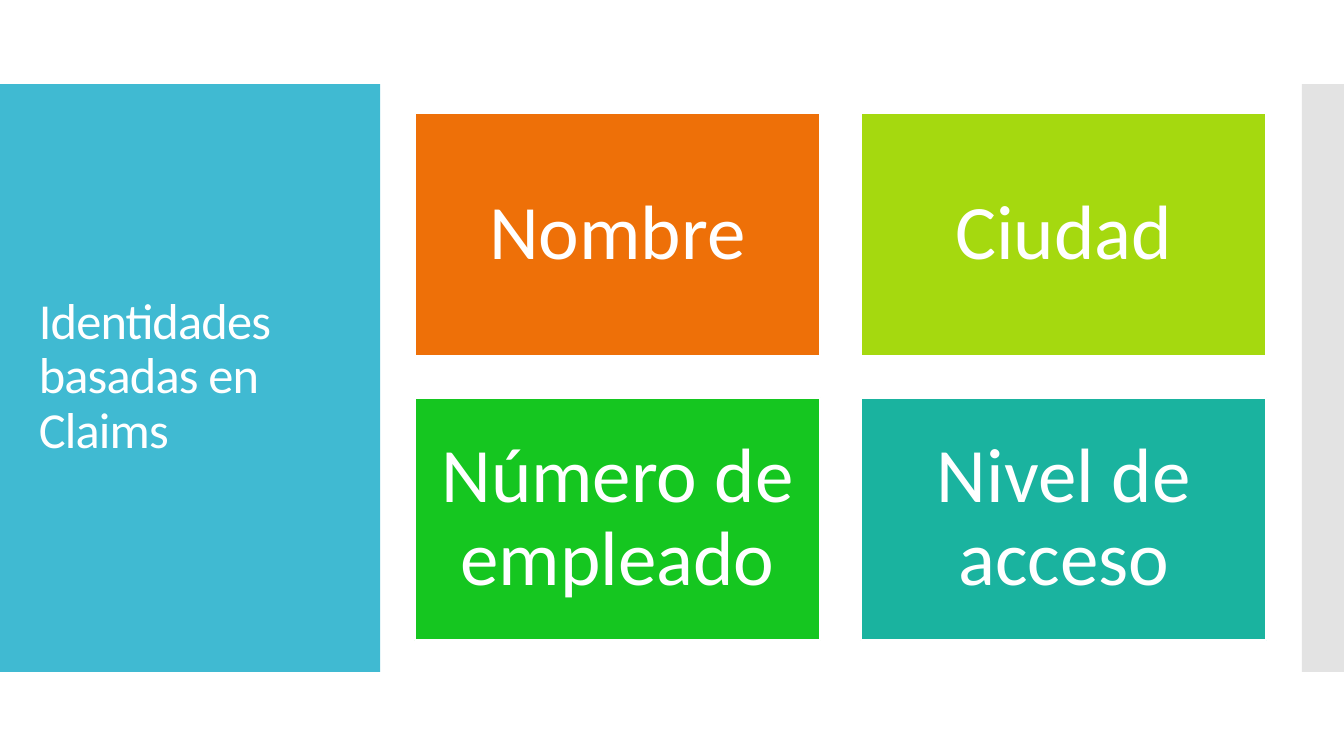
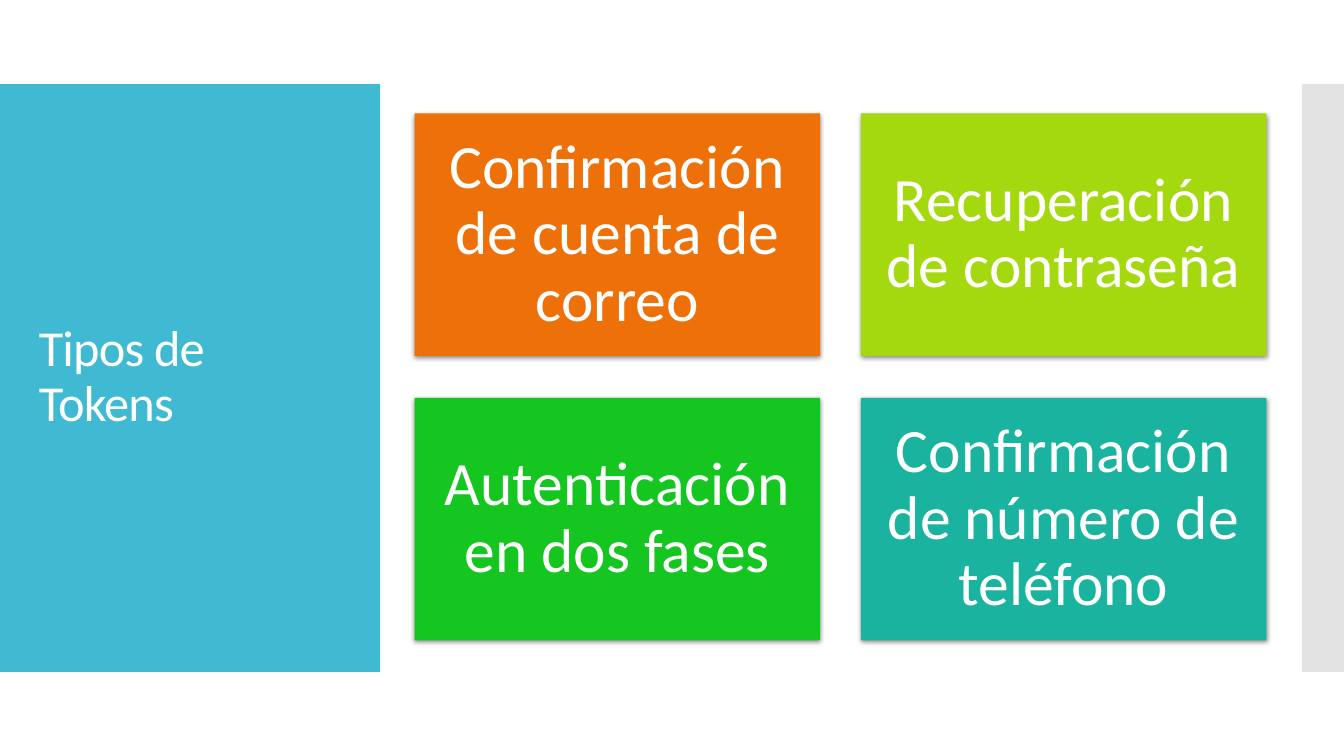
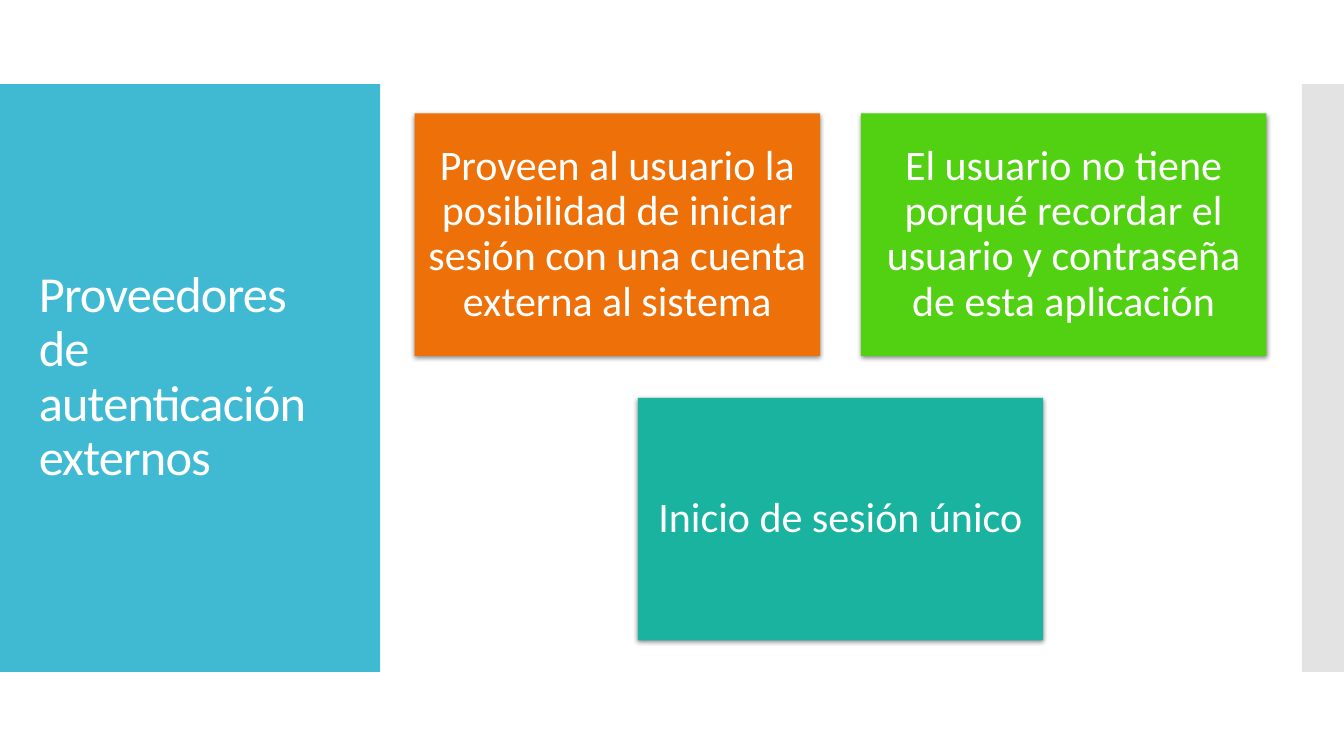
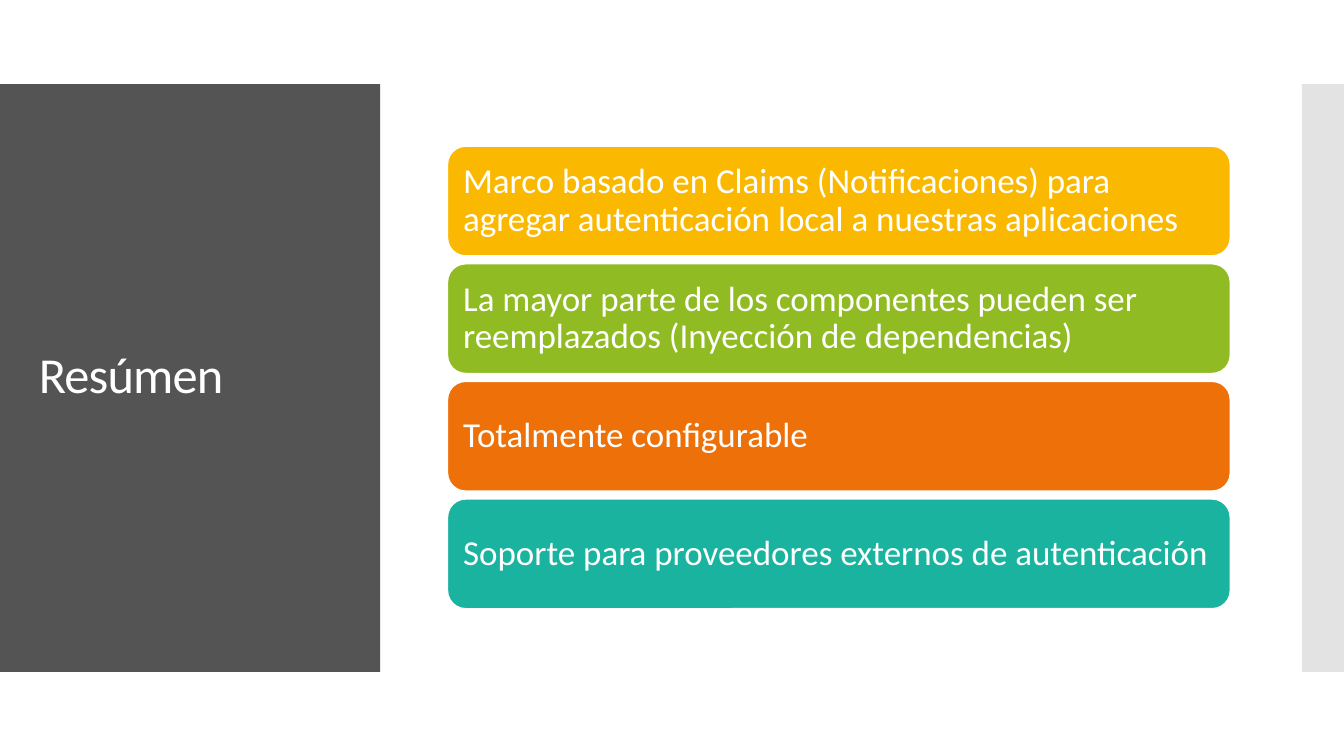
from lxml import etree
from pptx import Presentation
from pptx.dml.color import RGBColor
from pptx.enum.shapes import MSO_SHAPE
from pptx.enum.text import MSO_ANCHOR, PP_ALIGN
from pptx.oxml.ns import qn
from pptx.util import Emu, Pt

RECTANGLE = MSO_SHAPE.RECTANGLE
ROUNDED = MSO_SHAPE.ROUNDED_RECTANGLE
MIDDLE = MSO_ANCHOR.MIDDLE
LEFT = PP_ALIGN.LEFT
CENTER = PP_ALIGN.CENTER

EMU_PER_PX = 9525
WHITE = "FFFFFF"
CYAN = "40BAD2"
GRAY = "C8C8C8"
DARK = "545454"
ORANGE = "EE7008"
LIME = "A5D90F"
GREEN = "15C620"
BRIGHT_GREEN = "52D012"
TEAL = "1AB39F"
YELLOW = "FAB900"
OLIVE = "90BB23"


def px(length):
    return Emu(round(length * EMU_PER_PX))


def color(value):
    return RGBColor.from_string(value)


class Deck:
    font = "Calibri"
    outline_width = 1.35
    band_top, band_height = 80, 560

    def __init__(self):
        self.presentation = Presentation()
        self.presentation.slide_width = px(1280)
        self.presentation.slide_height = px(720)
        self.slide = None

    def add_slide(self, title, panel=CYAN):
        layout = self.presentation.slide_layouts[6]
        self.slide = self.presentation.slides.add_slide(layout)
        self.box(0, self.band_top, 362, self.band_height, panel)
        side_band = self.box(1240, self.band_top, 40, self.band_height, GRAY)
        fill_color = side_band._element.spPr.find(qn("a:solidFill"))[0]
        etree.SubElement(fill_color, qn("a:alpha"), val="50000")
        self.title(title)

    def box(self, left, top, width, height, fill, outlined=False, kind=RECTANGLE):
        shape = self.slide.shapes.add_shape(
            kind, px(left), px(top), px(width), px(height))
        shape.shadow.inherit = False
        shape.fill.solid()
        shape.fill.fore_color.rgb = color(fill)
        if outlined:
            shape.line.color.rgb = color(WHITE)
            shape.line.width = Pt(self.outline_width)
        else:
            shape.line.fill.background()
        return shape

    def set_text(self, shape, text, size, align, inset):
        frame = shape.text_frame
        frame.word_wrap = True
        frame.vertical_anchor = MIDDLE
        frame.margin_left = frame.margin_right = px(inset)
        frame.margin_top = frame.margin_bottom = px(inset)
        paragraph = frame.paragraphs[0]
        paragraph.text = text
        paragraph.alignment = align
        paragraph.line_spacing = 0.9
        paragraph.font.name = self.font
        paragraph.font.size = Pt(size)
        paragraph.font.color.rgb = color(WHITE)
        return paragraph

    def title(self, text):
        shape = self.slide.shapes.add_textbox(px(27), px(118), px(309), px(483))
        paragraph = self.set_text(shape, text, 36, LEFT, 10)
        paragraph.runs[0]._r.get_or_add_rPr().set("spc", "-60")

    def soft_shadow(self, shape):
        effects = shape._element.spPr.find(qn("a:effectLst"))
        shadow = etree.SubElement(
            effects, qn("a:outerShdw"), blurRad=str(Pt(3.5)), dist=str(Pt(1.1)),
            dir="5400000", algn="ctr", rotWithShape="0")
        black = etree.SubElement(shadow, qn("a:srgbClr"), val="000000")
        etree.SubElement(black, qn("a:alpha"), val="45000")

    def tiles(self, items, size, shadowed=True):
        columns, column_step, row_step = 2, 425, 271
        for index, (text, fill) in enumerate(items):
            row, column = divmod(index, columns)
            row_count = min(columns, len(items) - row * columns)
            column += (columns - row_count) / 2
            shape = self.box(395 + column * column_step, 108 + row * row_step,
                             386, 231, fill, outlined=not shadowed)
            if shadowed:
                self.soft_shadow(shape)
            self.set_text(shape, text, size, CENTER, round(size * 0.4))

    def bars(self, items):
        for index, (text, fill) in enumerate(items):
            shape = self.box(426, 139 + index * 112, 746, 105, fill,
                             outlined=True, kind=ROUNDED)
            self.set_text(shape, text, 25, LEFT, 10)


def main():
    deck = Deck()

    deck.add_slide("Identidades basadas en Claims")
    deck.tiles([
        ("Nombre", ORANGE),
        ("Ciudad", LIME),
        ("Número de empleado", GREEN),
        ("Nivel de acceso", TEAL),
    ], 55, shadowed=False)

    deck.add_slide("Tipos de Tokens")
    deck.tiles([
        ("Confirmación de cuenta de correo", ORANGE),
        ("Recuperación de contraseña", LIME),
        ("Autenticación en dos fases", GREEN),
        ("Confirmación de número de teléfono", TEAL),
    ], 44)

    deck.add_slide("Proveedores de autenticación externos")
    deck.tiles([
        ("Proveen al usuario la posibilidad de iniciar sesión con una cuenta "
         "externa al sistema", ORANGE),
        ("El usuario no tiene porqué recordar el usuario y contraseña de esta "
         "aplicación", BRIGHT_GREEN),
        ("Inicio de sesión único", TEAL),
    ], 30)

    deck.add_slide("Resúmen", panel=DARK)
    deck.bars([
        ("Marco basado en Claims (Notificaciones) para agregar autenticación "
         "local a nuestras aplicaciones", YELLOW),
        ("La mayor parte de los componentes pueden ser reemplazados "
         "(Inyección de dependencias)", OLIVE),
        ("Totalmente configurable", ORANGE),
        ("Soporte para proveedores externos de autenticación", TEAL),
    ])

    deck.presentation.save("out.pptx")


if __name__ == "__main__":
    main()
